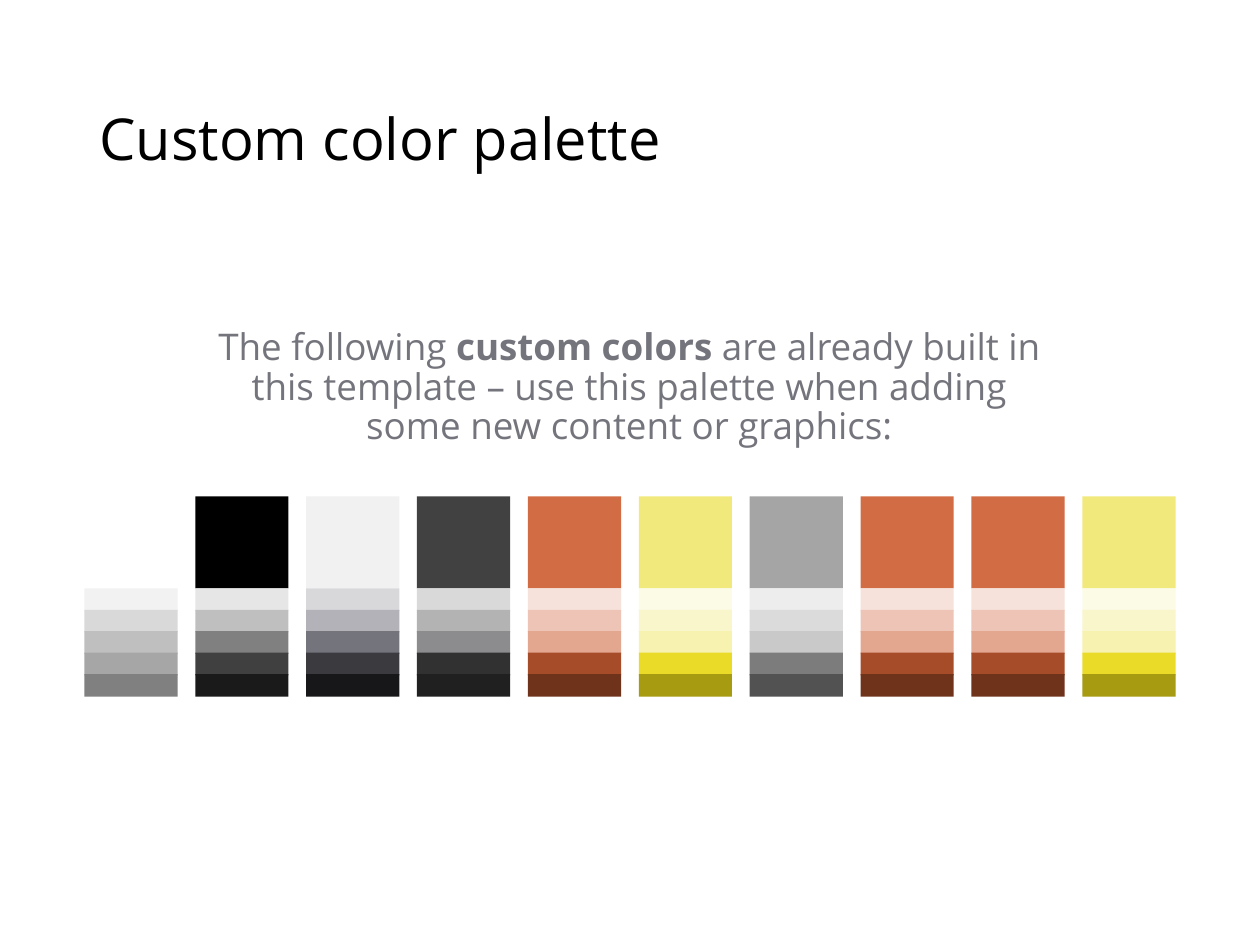
import dataclasses

import pptx
import pptx.dml.color
import pptx.enum.shapes
import pptx.enum.text
import pptx.util

Inches = pptx.util.Inches
PP_ALIGN = pptx.enum.text.PP_ALIGN
ANCHOR = pptx.enum.text.MSO_ANCHOR


@dataclasses.dataclass(frozen=True)
class Theme:
    font: str = "Open Sans"
    title_size: int = 33
    body_size: int = 21
    title_color: str = "000000"
    body_color: str = "74747D"
    line_spacing: float = 0.9


THEME = Theme()

# Each family: base colour, then its tints and shades from light to dark
ORANGE = ("D16C45", "F6E2DA", "EDC4B5", "E3A78F", "A74C29", "6F331C")
YELLOW = ("F2E97C", "FCFBE5", "FAF6CB", "F7F2B0", "EADB29", "A69B11")
PALETTE = [
    ("FFFFFF", "F2F2F2", "D9D9D9", "BFBFBF", "A6A6A6", "808080"),
    ("000000", "E6E6E6", "BFBFBF", "808080", "404040", "1A1A1A"),
    ("F1F1F2", "D8D8DB", "B2B2B8", "74747D", "3A3A3F", "171719"),
    ("414142", "D9D9D9", "B3B3B4", "8C8C8E", "313132", "202021"),
    ORANGE,
    YELLOW,
    ("A5A5A5", "EDEDED", "DBDBDB", "C9C9C9", "7C7C7C", "525252"),
    ORANGE,
    ORANGE,
    YELLOW,
]


def rgb(color):
    return pptx.dml.color.RGBColor.from_string(color)


def add_text(s, box, runs, *, size, color, align=PP_ALIGN.LEFT, anchor=ANCHOR.TOP):
    """Add one paragraph; runs are (text, bold) pairs."""
    tf = s.shapes.add_textbox(*map(Inches, box)).text_frame
    tf.word_wrap = True
    tf.vertical_anchor = anchor
    p = tf.paragraphs[0]
    p.alignment = align
    p.line_spacing = THEME.line_spacing
    for text, bold in runs:
        r = p.add_run()
        r.text = text
        r.font.name = THEME.font
        r.font.size = pptx.util.Pt(size)
        r.font.bold = bold
        r.font.color.rgb = rgb(color)


def add_swatch(s, box, color):
    sp = s.shapes.add_shape(pptx.enum.shapes.MSO_SHAPE.RECTANGLE, *map(Inches, box))
    sp.shadow.inherit = False
    sp.fill.solid()
    sp.fill.fore_color.rgb = rgb(color)
    sp.line.fill.background()


def add_title(s, box):
    add_text(s, box, [("Custom color palette", False)], size=THEME.title_size,
             color=THEME.title_color, anchor=ANCHOR.MIDDLE)


def add_intro(s, box):
    runs = [
        ("The following ", False),
        ("custom colors ", True),
        ("are already built in this template – use this palette "
         "when adding some new content or graphics:", False),
    ]
    add_text(s, box, runs, size=THEME.body_size, color=THEME.body_color,
             align=PP_ALIGN.CENTER)


def add_palette(s, box, gap=0.14, base_h=0.73, strip_h=0.18):
    """Fill the box with one column of swatches per colour family."""
    left, top, width, height = box
    pitch = (width + gap) / len(PALETTE)
    for col, (base, *strips) in enumerate(PALETTE):
        x, w = left + col * pitch, pitch - gap
        add_swatch(s, (x, top, w, base_h), base)
        # Strips overlap slightly so that no seam shows
        step = (height - base_h - strip_h) / (len(strips) - 1)
        for row, color in enumerate(strips):
            add_swatch(s, (x, top + base_h + row * step, w, strip_h), color)


def main():
    prs = pptx.Presentation()
    prs.slide_width, prs.slide_height = Inches(10), Inches(7.5)
    s = prs.slides.add_slide(prs.slide_layouts[6])
    add_title(s, (0.69, 0.4, 8.62, 1.45))
    add_palette(s, (0.67, 3.94, 8.66, 1.59))
    add_intro(s, (1.55, 2.56, 6.89, 1.16))
    prs.save("out.pptx")


if __name__ == "__main__":
    main()
